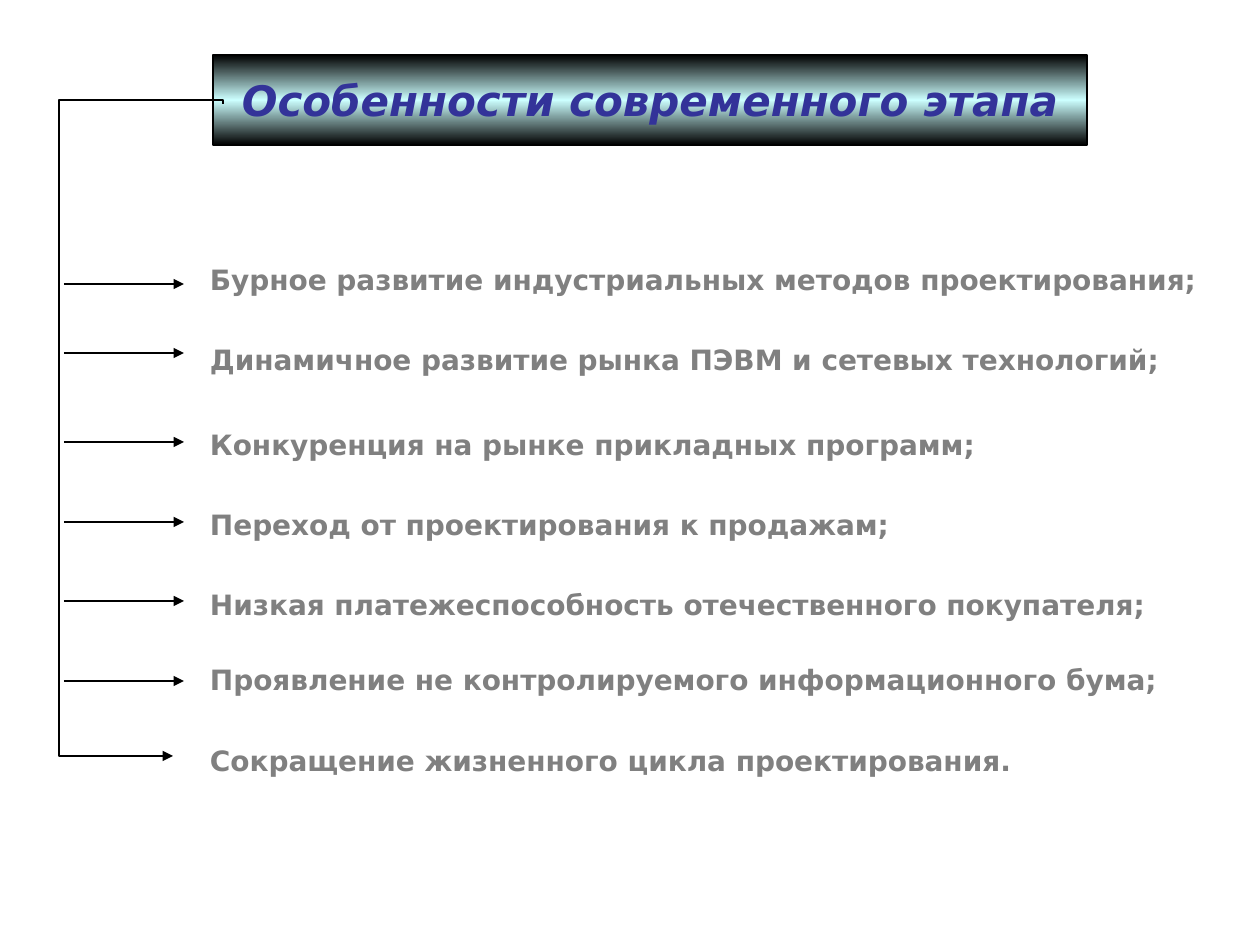
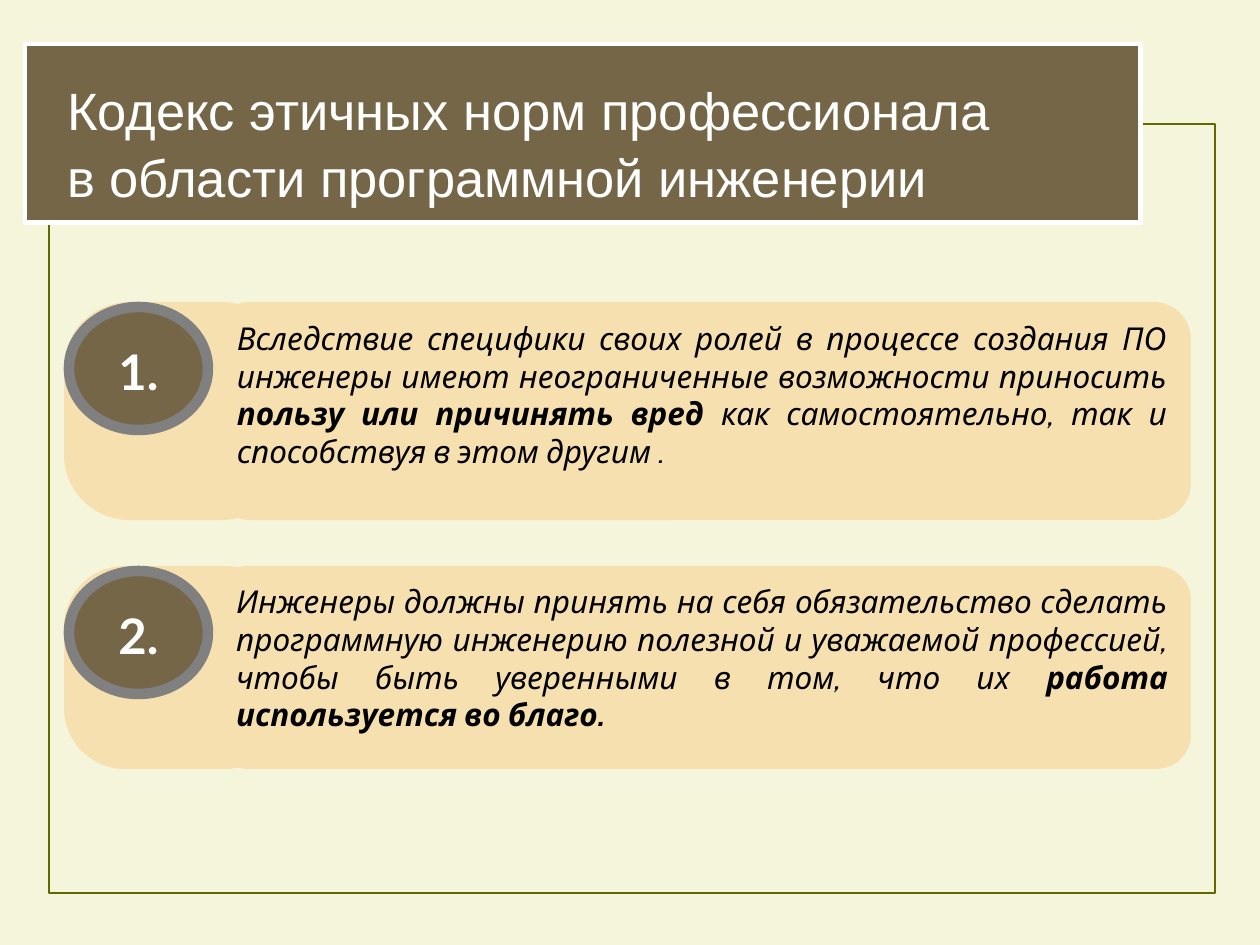
"""Build two slides: a branching list of trends and a numbered code of ethics."""
from copy import deepcopy
from dataclasses import dataclass

from lxml.etree import SubElement
from pptx import Presentation
from pptx.dml.color import RGBColor
from pptx.enum.shapes import MSO_CONNECTOR, MSO_SHAPE
from pptx.enum.text import MSO_ANCHOR, MSO_AUTO_SIZE, PP_ALIGN
from pptx.oxml.ns import qn
from pptx.util import Emu, Pt

PX = 914400 / 126
INK, WHITE, GREY = "000000", "FFFFFF", "808080"
NAVY, ICE = "333399", "CCFFFF"
CREAM, SAND, BROWN, OLIVE = "F5F5DC", "F7E0B0", "756647", "666600"


@dataclass(frozen=True)
class Face:
    font: str
    size: int
    tint: str
    bold: bool = False
    slant: bool = False


@dataclass(frozen=True)
class Box:
    left: int
    top: int
    width: int
    height: int


@dataclass(frozen=True)
class Row:
    words: str
    gap: int
    arrow: int | None = None


@dataclass(frozen=True)
class Card:
    label: str
    top: int
    height: int
    spans: tuple[tuple[str, bool], ...]


HEAD = Face("DejaVu Sans", 24, NAVY, True, True)
ITEM = Face("DejaVu Sans", 16, GREY, True)
BANNER = Face("Arial", 30, WHITE)
PLAIN = Face("Cabin", 18, INK, False, True)
STRONG = Face("Cabin", 18, INK, True, True)
DIGIT = Face("Lato", 28, WHITE, True)

ROWS = (
    Row("Бурное развитие индустриальных методов проектирования;", 0, 284),
    Row("Динамичное развитие рынка ПЭВМ и сетевых технологий;", 46, 353),
    Row("Конкуренция на рынке прикладных программ;", 51, 442),
    Row("Переход от проектирования к продажам;", 47, 522),
    Row("Низкая платежеспособность отечественного покупателя;", 46, 601),
    Row("Проявление не контролируемого информационного бума;", 42, 681),
    Row("Сокращение жизненного цикла проектирования.", 47),
)
CARDS = (
    Card("1.", 302, 218, (
        ("Вследствие специфики своих ролей в процессе создания ПО инженеры "
         "имеют неограниченные возможности приносить ", False),
        ("пользу или причинять вред", True),
        (" как самостоятельно, так и способствуя в этом другим .", False),
    )),
    Card("2.", 566, 203, (
        ("Инженеры должны принять на себя обязательство сделать программную "
         "инженерию полезной и уважаемой профессией, чтобы быть уверенными "
         "в том, что их ", False),
        ("работа используется во благо.", True),
    )),
)


def px(count: float) -> Emu:
    """Turn pixels into EMU."""
    return Emu(round(count * PX))


def hue(code: str) -> RGBColor:
    """Turn a hex string into a colour."""
    return RGBColor.from_string(code)


def place(shape, box: Box) -> None:
    """Move a shape into a box."""
    shape.left, shape.top = px(box.left), px(box.top)
    shape.width, shape.height = px(box.width), px(box.height)


def paint(shape, fill: str | None = None, edge: str | None = None,
          thick: float = 1) -> None:
    """Set the fill and outline of a shape."""
    if fill:
        shape.fill.solid()
        shape.fill.fore_color.rgb = hue(fill)
    else:
        shape.fill.background()
    if edge:
        shape.line.color.rgb = hue(edge)
        shape.line.width = Pt(thick)
    else:
        shape.line.fill.background()


def form(slide, kind: MSO_SHAPE, box: Box, fill: str | None = None,
         edge: str | None = None, thick: float = 1, bend: float | None = None):
    """Add a flat preset shape."""
    shape = slide.shapes.add_shape(
        kind, px(box.left), px(box.top), px(box.width), px(box.height))
    shape.shadow.inherit = False
    paint(shape, fill, edge, thick)
    if bend is not None:
        shape.adjustments[0] = bend
    return shape


def frame(shape, anchor: MSO_ANCHOR, sides: tuple[int, int, int, int]):
    """Set up a text frame with its left, top, right and bottom margins."""
    text = shape.text_frame
    text.auto_size = MSO_AUTO_SIZE.NONE
    text.word_wrap = True
    text.vertical_anchor = anchor
    (text.margin_left, text.margin_top,
     text.margin_right, text.margin_bottom) = map(px, sides)
    return text


def write(para, words: str, face: Face) -> None:
    """Add one styled run to a paragraph."""
    run = para.add_run()
    run.text = words
    font = run.font
    font.name, font.size = face.font, Pt(face.size)
    font.bold, font.italic = face.bold, face.slant
    font.color.rgb = hue(face.tint)


def tip(shape) -> None:
    """Put a black line with an arrowhead on a shape."""
    shape.line.color.rgb = hue(INK)
    shape.line.width = Pt(1.5)
    SubElement(shape.line._get_or_add_ln(), qn("a:tailEnd"), type="triangle")


def arrow(slide, top: int) -> None:
    """Draw one level branch arrow."""
    line = slide.shapes.add_connector(
        MSO_CONNECTOR.STRAIGHT, px(64), px(top), px(184), px(top))
    tip(line)
    SubElement(line._element.spPr, qn("a:effectLst"))


def trunk(slide) -> None:
    """Draw the bent arrow from the title to the last row."""
    pen = slide.shapes.build_freeform(223, 104, scale=PX)
    pen.add_line_segments(
        [(223, 100), (59, 100), (59, 756), (173, 756)], close=False)
    shape = pen.convert_to_shape()
    shape.shadow.inherit = False
    shape.fill.background()
    tip(shape)


def glow(shape) -> None:
    """Fill a shape with a dark, light, dark gradient."""
    shape.fill.gradient()
    shape.fill.gradient_angle = 90
    stops = shape._element.spPr.find(".//" + qn("a:gsLst"))
    stops.append(deepcopy(stops[0]))
    marks = zip(shape.fill.gradient_stops, (INK, ICE, INK), (0, 0.5, 1))
    for stop, tint, spot in marks:
        stop.color.rgb = hue(tint)
        stop.position = spot


def start(deck, layout: int, back: str):
    """Add a slide with a plain background."""
    slide = deck.slides.add_slide(deck.slide_layouts[layout])
    slide.background.fill.solid()
    slide.background.fill.fore_color.rgb = hue(back)
    return slide


def trends(deck) -> None:
    """Build the slide with the branching list."""
    slide = start(deck, 1, WHITE)
    title = slide.shapes.title
    place(title, Box(213, 55, 874, 90))
    paint(title, edge=INK, thick=0.75)
    glow(title)
    para = frame(title, MSO_ANCHOR.MIDDLE, (13, 6, 13, 6)).paragraphs[0]
    para.alignment = PP_ALIGN.CENTER
    write(para, "Особенности современного этапа", HEAD)

    body = slide.placeholders[1]
    place(body, Box(197, 257, 1050, 530))
    text = frame(body, MSO_ANCHOR.TOP, (13, 6, 13, 6))
    for index, row in enumerate(ROWS):
        para = text.add_paragraph() if index else text.paragraphs[0]
        props = para._p.get_or_add_pPr()
        props.set("marL", "0")
        props.set("indent", "0")
        SubElement(props, qn("a:buNone"))
        para.space_before = px(row.gap)
        write(para, row.words, ITEM)
        if row.arrow:
            arrow(slide, row.arrow)
    trunk(slide)


def panel(slide, card: Card) -> None:
    """Draw one numbered card."""
    form(slide, MSO_SHAPE.ROUNDED_RECTANGLE,
         Box(64, card.top, 223, card.height), SAND, bend=0.3)
    main = form(slide, MSO_SHAPE.ROUNDED_RECTANGLE,
                Box(213, card.top, 978, card.height), SAND, bend=0.17)
    para = frame(main, MSO_ANCHOR.TOP, (13, 6, 13, 6)).paragraphs[0]
    para.alignment = PP_ALIGN.JUSTIFY
    for words, bold in card.spans:
        write(para, words, STRONG if bold else PLAIN)
    disc = form(slide, MSO_SHAPE.OVAL, Box(69, card.top + 5, 139, 123),
                BROWN, GREY, 6)
    para = frame(disc, MSO_ANCHOR.MIDDLE, (0, 4, 0, 0)).paragraphs[0]
    para.alignment = PP_ALIGN.CENTER
    write(para, card.label, DIGIT)


def ethics(deck) -> None:
    """Build the slide with the numbered cards."""
    slide = start(deck, 5, CREAM)
    form(slide, MSO_SHAPE.RECTANGLE, Box(49, 124, 1166, 769),
         edge=OLIVE, thick=1.42)
    for card in CARDS:
        panel(slide, card)
    title = slide.shapes.title
    slide.shapes._spTree.append(title._element)
    place(title, Box(25, 44, 1116, 179))
    paint(title, BROWN, WHITE, 2.83)
    para = frame(title, MSO_ANCHOR.MIDDLE, (42, 19, 3, 3)).paragraphs[0]
    para.alignment = PP_ALIGN.LEFT
    para.line_spacing = Pt(38.3)
    write(para, "Кодекс этичных норм профессионала", BANNER)
    para.add_line_break()
    write(para, "в области программной инженерии", BANNER)


def main() -> None:
    """Make the deck and save it."""
    deck = Presentation()
    deck.slide_width, deck.slide_height = px(1260), px(945)
    trends(deck)
    ethics(deck)
    deck.save("out.pptx")


if __name__ == "__main__":
    main()
